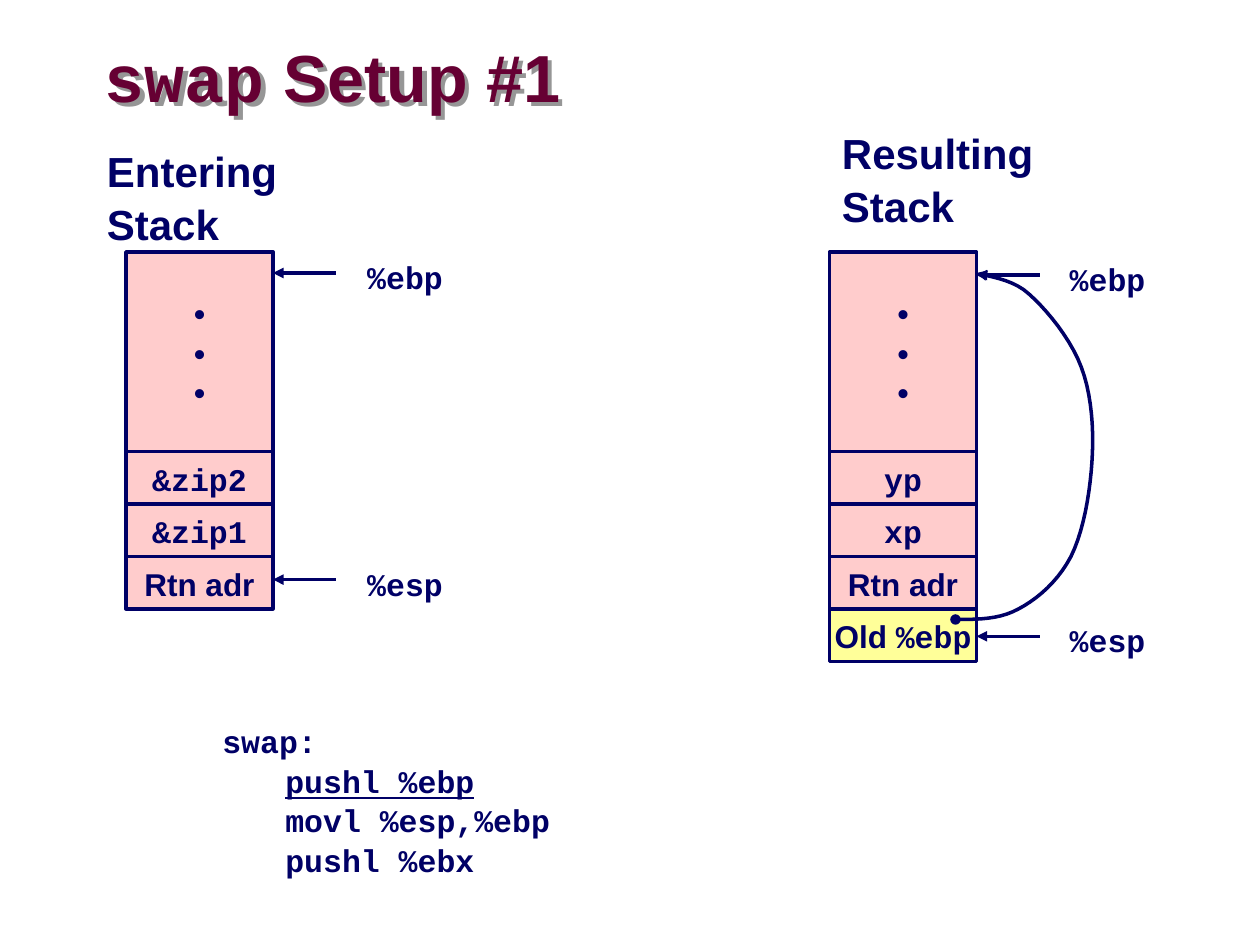
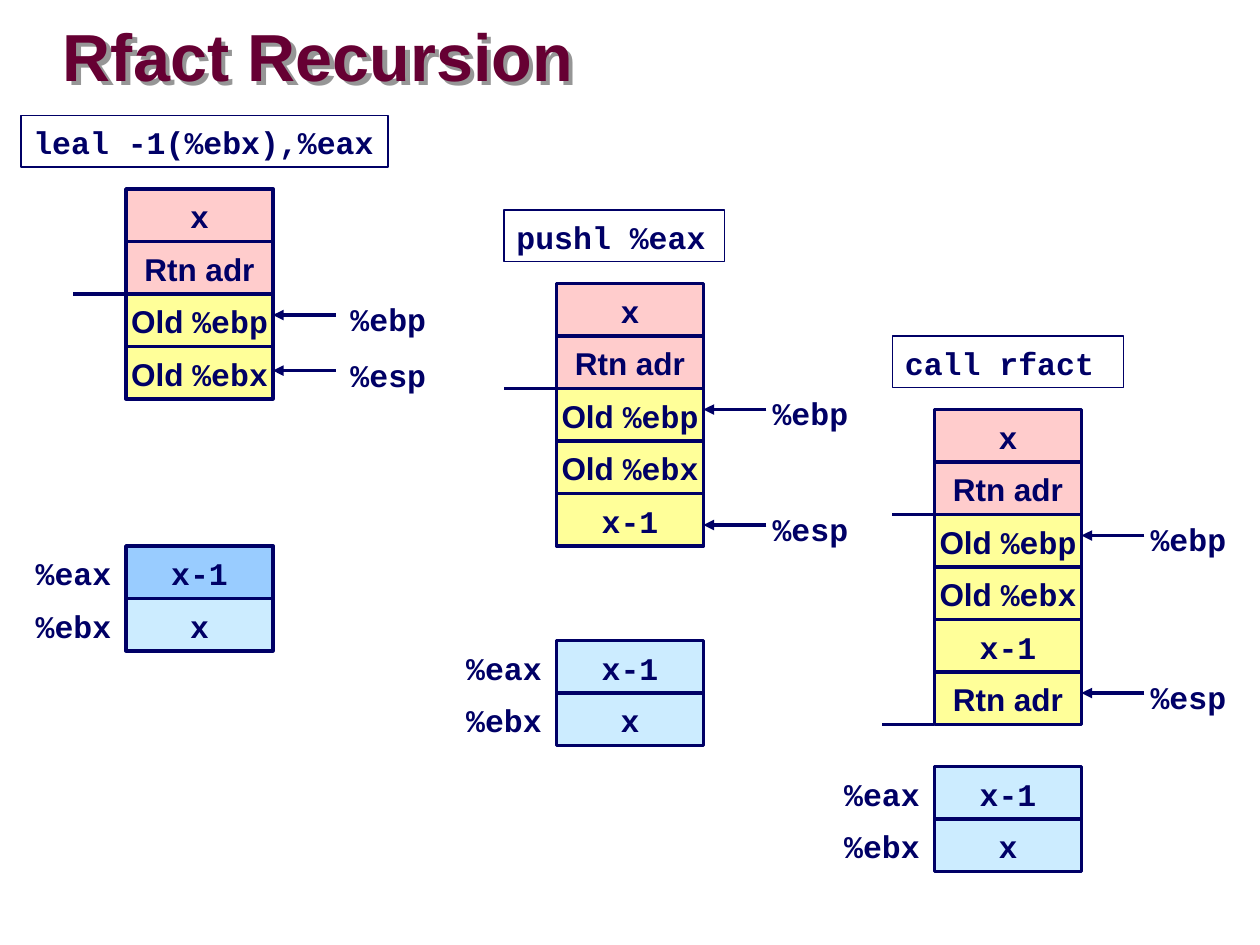
from lxml import etree
from pptx import Presentation
from pptx import util as u
from pptx.dml.color import RGBColor
from pptx.enum import shapes, text
from pptx.oxml import ns

HUES = {
    "ink": "000066", "title": "660033", "shade": "969696", "white": "FFFFFF",
    "old": "FFCCCC", "new": "FFFF99", "reg": "CCECFF", "set": "99CCFF",
}
SANS, MONO = "Arial", "Courier New"
COLS, ROWS = 120, 90
WIDE, HIGH = u.Inches(10), u.Inches(7.5)
CELL_W, CELL_H, DOTS_H = 14, 5, 19
MARK_W, REG_DY, REG_W = 6, 34, 8

BODY = {"size": u.Pt(18), "bold": True}
HEAD = {"size": u.Pt(24), "bold": True}
TITLE = {"size": u.Pt(38), "bold": True}
MID = {"vertical_anchor": text.MSO_ANCHOR.MIDDLE, "word_wrap": False}
LOOSE = {"word_wrap": False}
FLUSH = {"vertical_anchor": text.MSO_ANCHOR.MIDDLE, "word_wrap": True,
         "margin_left": 0, "margin_right": 0, "margin_top": 0, "margin_bottom": 0}
CENTER = {"alignment": text.PP_ALIGN.CENTER, "line_spacing": 1.05}
LEFT = {"alignment": text.PP_ALIGN.LEFT, "line_spacing": 1.05}
TIGHT = {"alignment": text.PP_ALIGN.LEFT, "line_spacing": 0.87}


def fit(item, form):
    for key, val in form.items():
        setattr(item, key, val)


def rgb(hue):
    return RGBColor.from_string(HUES[hue])


def col(x):
    return round(WIDE * x / COLS)


def row(y):
    return round(HIGH * y / ROWS)


def area(x, y, w, h):
    return col(x), row(y), col(w), row(h)


def write(shape, words, font=BODY, para=LEFT, frame=LOOSE, hue="ink"):
    body = shape.text_frame
    fit(body, frame)
    for i, line in enumerate(words.split("\n")):
        p = body.paragraphs[0] if i == 0 else body.add_paragraph()
        fit(p, para)
        for j, part in enumerate(line.split("`")):
            if part:
                run = p.add_run()
                run.text = part
                fit(run.font, {**font, "name": MONO if j % 2 else SANS})
                run.font.color.rgb = rgb(hue)
    return body.paragraphs


def label(slide, box, words, **form):
    shape = slide.shapes.add_textbox(*area(*box))
    return shape, write(shape, words, **form)


def block(slide, box, words, fill=None, width=2, para=CENTER, frame=MID):
    shape = slide.shapes.add_shape(shapes.MSO_SHAPE.RECTANGLE, *area(*box))
    shape.shadow.inherit = False
    if fill:
        shape.fill.solid()
        shape.fill.fore_color.rgb = rgb(fill)
    else:
        shape.fill.background()
    if width:
        shape.line.color.rgb = rgb("ink")
        shape.line.width = u.Pt(width)
    else:
        shape.line.fill.background()
    write(shape, words, para=para, frame=frame)


def ends(shape, **tips):
    line = shape.line
    line.color.rgb = rgb("ink")
    line.width = u.Pt(2)
    for tag, kind in tips.items():
        etree.SubElement(line._get_or_add_ln(), ns.qn("a:" + tag), type=kind)


def rule(slide, x, y, end, **tips):
    line = slide.shapes.add_connector(
        shapes.MSO_CONNECTOR.STRAIGHT, col(x), row(y), col(end), row(y))
    ends(line, **tips)
    etree.SubElement(line._element.spPr, ns.qn("a:effectLst"))


def title(slide, x, y, words):
    shape, _ = label(slide, (x, y, 72, 7.5), words,
                     font=TITLE, para=TIGHT, frame=FLUSH, hue="title")
    glow = etree.SubElement(shape._element.spPr, ns.qn("a:effectLst"))
    cast = etree.SubElement(glow, ns.qn("a:outerShdw"),
                            dist=str(u.Inches(0.05)), dir="2700000", algn="ctr")
    etree.SubElement(cast, ns.qn("a:srgbClr"), val=HUES["shade"])


def stack(slide, x, y, cells, marks, gap):
    top = y
    for words, fill in cells:
        high = DOTS_H if "\n" in words else CELL_H
        block(slide, (x, top, CELL_W, high), words, fill)
        top += high
    side = x + CELL_W
    for name, dy in marks:
        rule(slide, side + MARK_W, y + dy, side, tailEnd="triangle")
        label(slide, (side + gap, y + dy - 2.2, 9.6, 4.8), f"`{name}`")


def curve(slide, x, y, knots):
    def point(a, b, c, d, t):
        s = 1 - t
        return [s**3 * i + 3 * s * s * t * j + 3 * s * t * t * k + t**3 * m
                for i, j, k, m in zip(a, b, c, d)]

    steps = 10
    dots = [point(*knots[n:n + 4], i / steps)
            for n in range(0, len(knots) - 1, 3) for i in range(1, steps + 1)]
    trail = [(col(x + a), row(y + b)) for a, b in [knots[0], *dots]]
    pen = slide.shapes.build_freeform(*trail[0])
    pen.add_line_segments(trail[1:], close=False)
    shape = pen.convert_to_shape()
    shape.shadow.inherit = False
    shape.fill.background()
    ends(shape, headEnd="oval", tailEnd="triangle")


def code(slide, x, y, lines, live):
    _, paras = label(slide, (x, y, 66, 16), "\n".join(f"`{s}`" for s in lines),
                     frame={"word_wrap": True})
    for p in paras[1:]:
        p._p.get_or_add_pPr().set("marL", str(col(6)))
    paras[live].runs[0].font.underline = True


def regs(slide, x, y, fills):
    for i, (name, val, fill) in enumerate(zip(("%eax", "%ebx"), ("x-1", "x"), fills)):
        top = y + i * CELL_H
        block(slide, (x, top, CELL_W, CELL_H), f"`{val}`", fill)
        block(slide, (x - REG_W - 1, top, REG_W, CELL_H), f"`{name}`", "white", 0)


def state(slide, x, y, step, dx, wide, cells, marks, gap, fills, ticks):
    block(slide, (x + dx, y - 7, wide, 4.9), f"`{step}`", None, 1, LEFT, LOOSE)
    stack(slide, x, y, cells, marks, gap)
    regs(slide, x, y + REG_DY, fills)
    for left, dy in ticks:
        rule(slide, x + left, y + dy, x + left + 5)


def setup(slide):
    title(slide, 10, 4, "`swap` Setup #1")
    dots, back = ("•\n•\n•", "old"), ("Rtn adr", "old")
    label(slide, (9, 13, 18.6, 10.8), "Entering\nStack", font=HEAD)
    stack(slide, 12, 24, [dots, ("`&zip2`", "old"), ("`&zip1`", "old"), back],
          [("%ebp", 2), ("%esp", 31.2)], 7.8)
    label(slide, (79, 11.3, 26.8, 10.8), "Resulting\nStack",
          font=HEAD, frame={"word_wrap": True})
    stack(slide, 79, 24,
          [dots, ("`yp`", "old"), ("`xp`", "old"), back, ("Old `%ebp`", "new")],
          [("%ebp", 2.2), ("%esp", 36.6)], 7.7)
    curve(slide, 79, 24, [
        (12, 35), (14.1, 35), (16.2, 35), (18, 34),
        (19.9, 33), (21.8, 31.3), (23, 29), (24.2, 26.6), (24.8, 23), (25, 20),
        (25.2, 17), (25, 13.7), (24, 11), (23, 8.3), (20.7, 5.5), (19, 4),
        (17.4, 2.5), (14.8, 2.3), (14, 2)])
    code(slide, 20, 68,
         ["swap:", "pushl %ebp", "movl %esp,%ebp", "pushl %ebx"], 1)


def recur(slide):
    title(slide, 6, 2, "Rfact Recursion")
    cells = [("`x`", "old"), ("Rtn adr", "old"), ("Old `%ebp`", "new"),
             ("Old `%ebx`", "new"), ("`x-1`", "new"), ("Rtn adr", "new")]
    calm = ("reg", "reg")
    for x, y, step, dx, wide, count, esp, gap, fills, ticks in (
        (12, 18, "leal -1(%ebx),%eax", -10, 35, 4, 17.3, 6.2, ("set", "reg"), [(-5, 10)]),
        (53, 27, "pushl %eax", -5, 21, 5, 23, 5.4, calm, [(-5, 10)]),
        (89, 39, "call rfact", -4, 22, 6, 27, 5.4, calm, [(-4, 10), (-5, 30)]),
    ):
        state(slide, x, y, step, dx, wide, cells[:count],
              [("%ebp", 12), ("%esp", esp)], gap, fills, ticks)


def main():
    deck = Presentation()
    fit(deck, {"slide_width": WIDE, "slide_height": HIGH})
    for draw in (setup, recur):
        draw(deck.slides.add_slide(deck.slide_layouts[6]))
    deck.save("out.pptx")


if __name__ == "__main__":
    main()
